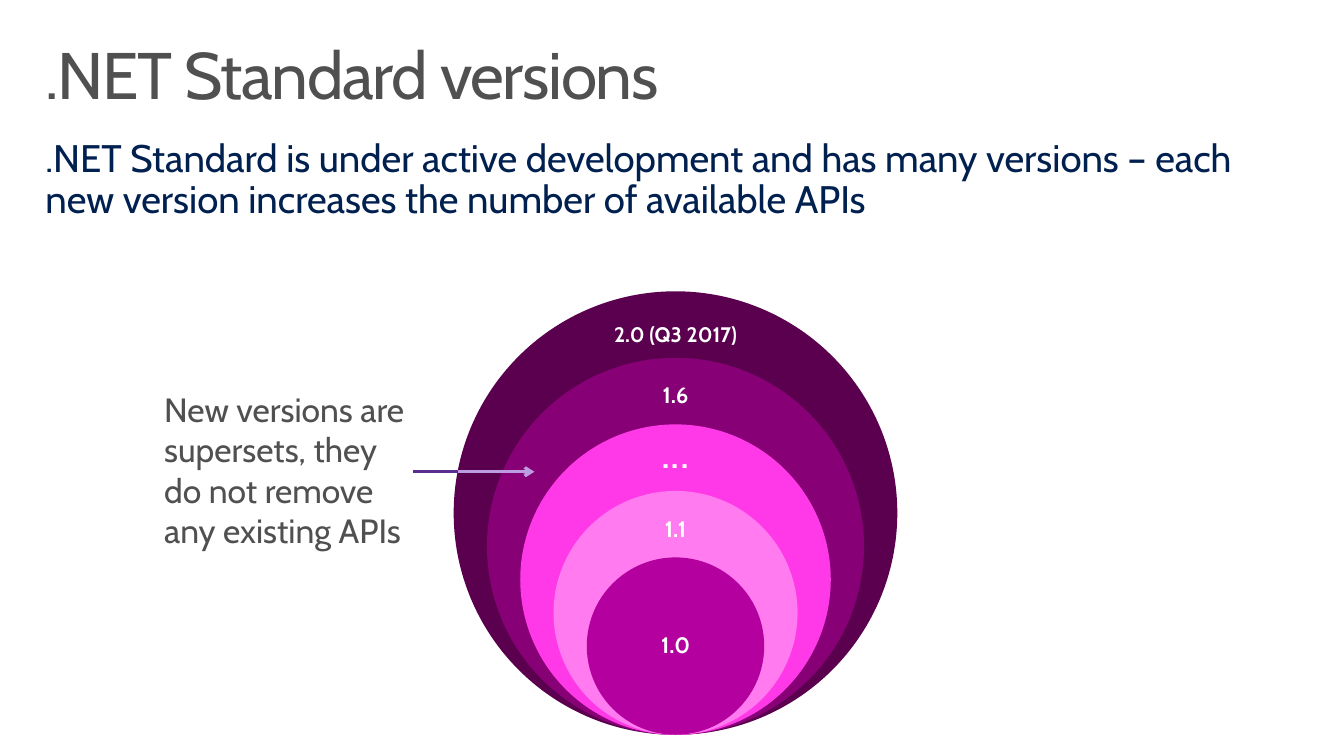
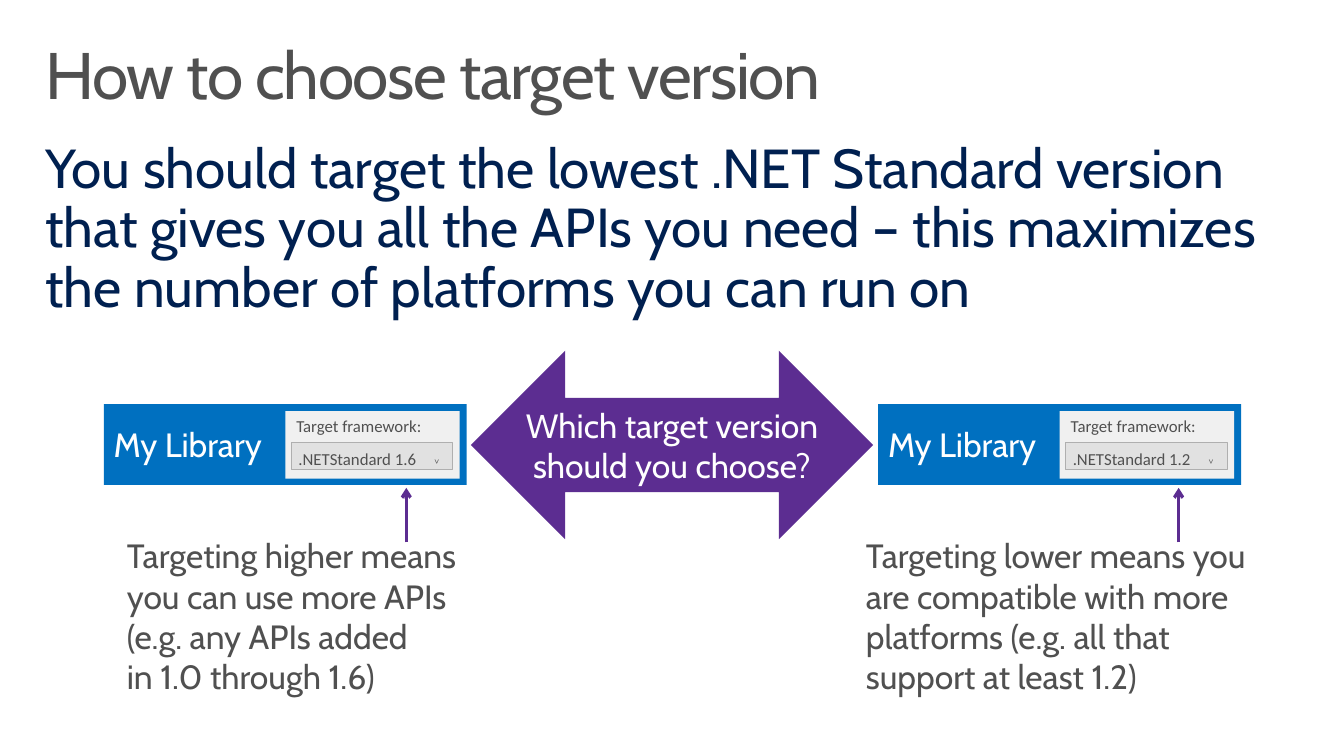
from dataclasses import dataclass

from lxml import etree
from pptx import Presentation
from pptx.dml.color import RGBColor
from pptx.enum.shapes import MSO_CONNECTOR, MSO_SHAPE
from pptx.enum.text import MSO_ANCHOR, PP_ALIGN
from pptx.oxml.ns import qn
from pptx.util import Inches, Pt

RECT, OVAL, ARROW = MSO_SHAPE.RECTANGLE, MSO_SHAPE.OVAL, MSO_SHAPE.LEFT_RIGHT_ARROW
STRAIGHT = MSO_CONNECTOR.STRAIGHT
TOP, MIDDLE = MSO_ANCHOR.TOP, MSO_ANCHOR.MIDDLE
LEFT, CENTER = PP_ALIGN.LEFT, PP_ALIGN.CENTER


@dataclass(frozen=True)
class Theme:
    font: str = "Cabin"
    form: str = "Calibri"
    mono: str = "DejaVu Sans Mono"
    white: str = "FFFFFF"
    gray: str = "505050"
    navy: str = "002050"
    blue: str = "0070C0"
    purple: str = "5C2D91"
    lilac: str = "BD9DE1"
    panel: str = "F0F0F0"
    field: str = "E1E1E1"
    edge: str = "AFAFAF"
    title: float = 47
    note: float = 24
    small: float = 12
    mark: float = 21.3
    rule: float = 2.25


T = Theme()
HEAD_PAD = (0.16, 0.1, 0.16, 0.1)
PAD = (0.1, 0.05, 0.1, 0.05)

VERSIONS = {
    "title": ".NET Standard versions",
    "body": ".NET Standard is under active development and has many versions"
            " – each new version increases the number of available APIs",
    "body_at": (0.29, 1.28, 12.49, 1.03),
    "body_size": 27.4,
}
RINGS = [
    ("2.0 (Q3 2017)", "5A004F", 15, True, 0),
    ("1.6", "870076", 16, True, 0.12),
    ("...", "FF39E7", 32, False, 0.3),
    ("1.1", "FF7BEF", 16, True, 0.1),
    ("1.0", "B4009E", 16, True, 0),
]
RING_MID, RING_END, RING_MAX, RING_STEP = 6.7, 7.29, 4.4, 0.66
LABEL_W, LABEL_H = 1.65, 0.44
SUPERSET = ["New versions are", "supersets, they", "do not remove", "any existing APIs"]
POINTER_Y = 4.68
POINTER = [(4.1, 4.54, T.purple, False), (4.54, 5.3, T.lilac, True)]

CHOICE = {
    "title": "How to choose target version",
    "body": "You should target the lowest .NET Standard version that gives you all"
            " the APIs you need – this maximizes the number of platforms you can run on",
    "body_at": (0.29, 1.3, 12.74, 1.98),
    "body_size": 39.2,
}
QUESTION = ["Which target version", "should you choose?"]
SIDES = [
    (1.03, ".NETStandard 1.6", 4.03, (1.16, 5.26, 3.69, 1.71),
     ["Targeting higher means", "you can use more APIs",
      "(e.g. any APIs added", "in 1.0 through 1.6)"]),
    (8.71, ".NETStandard 1.2", 11.69, (8.49, 5.26, 4.19, 1.71),
     ["Targeting lower means you", "are compatible with more",
      "platforms (e.g. all that", "support at least 1.2)"]),
]


def color(code):
    return RGBColor.from_string(code)


def add_run(para, text, size, ink, font=T.font, bold=False):
    run = para.add_run()
    run.text = text
    run.font.name = font
    run.font.size = Pt(size)
    run.font.bold = bold
    run.font.color.rgb = color(ink)
    return run


def set_frame(shape, pad=PAD, anchor=TOP):
    frame = shape.text_frame
    frame.word_wrap = True
    frame.vertical_anchor = anchor
    (frame.margin_left, frame.margin_top,
     frame.margin_right, frame.margin_bottom) = map(Inches, pad)
    return frame


def write(shape, lines, size, ink, pad=PAD, anchor=TOP, align=LEFT,
          space=1.0, font=T.font, bold=False):
    frame = set_frame(shape, pad, anchor)
    for i, line in enumerate(lines):
        para = frame.add_paragraph() if i else frame.paragraphs[0]
        para.alignment = align
        para.line_spacing = space
        add_run(para, line, size, ink, font, bold)
    return frame


def add_box(group, at):
    return group.shapes.add_textbox(*map(Inches, at))


def add_form(group, kind, at, fill, edge=None):
    shape = group.shapes.add_shape(kind, *map(Inches, at))
    shape.shadow.inherit = False
    shape.fill.solid()
    shape.fill.fore_color.rgb = color(fill)
    if edge:
        shape.line.color.rgb = color(edge)
        shape.line.width = Pt(0.5)
    else:
        shape.line.fill.background()
    return shape


def add_line(slide, start, end, ink, arrow=True):
    line = slide.shapes.add_connector(STRAIGHT, *map(Inches, start + end))
    line.line.color.rgb = color(ink)
    line.line.width = Pt(T.rule)
    if arrow:
        etree.SubElement(line.line._get_or_add_ln(), qn("a:tailEnd"), type="arrow")
    etree.SubElement(line._element.spPr, qn("a:effectLst"))


def add_slide(deck, data):
    slide = deck.slides.add_slide(deck.slide_layouts[6])
    head = write(add_box(slide, (0.29, 0.32, 12.75, 0.98)), [data["title"]],
                 T.title, T.gray, HEAD_PAD, space=0.9)
    head.paragraphs[0].runs[0].font._element.set("spc", "-100")
    write(add_box(slide, data["body_at"]), [data["body"]],
          data["body_size"], T.navy, HEAD_PAD, space=0.9)
    return slide


def add_rings(slide):
    group = slide.shapes.add_group_shape()
    for i, (label, fill, size, bold, foot) in enumerate(RINGS):
        width = RING_MAX - i * RING_STEP
        top = RING_END - width
        add_form(group, OVAL, (RING_MID - width / 2, top, width, width), fill)
        last = i == len(RINGS) - 1
        drop, tall = (width / 4, width / 2) if last else (LABEL_H / 2, LABEL_H)
        box = add_box(group, (RING_MID - LABEL_W / 2, top + drop, LABEL_W, tall))
        write(box, [label], size, T.white, (0, 0, 0, foot), MIDDLE, CENTER, 0.9, bold=bold)


def add_library(slide, left, target):
    group = slide.shapes.add_group_shape()
    card = add_form(group, RECT, (left, 4.01, 3.6, 0.8), T.blue)
    write(card, ["My Library"], T.note, T.white, anchor=MIDDLE)
    panel = add_form(group, RECT, (left + 1.8, 4.08, 1.73, 0.67), T.panel)
    write(panel, ["Target framework:"], T.small, T.gray,
          (0.11, 0.05, 0.07, 0.05), font=T.form)
    field = add_form(group, RECT, (left + 1.86, 4.39, 1.6, 0.27), T.field, T.edge)
    para = set_frame(field, (0.07, 0.05, 0.07, 0.05), MIDDLE).paragraphs[0]
    para.alignment = LEFT
    tabs = etree.SubElement(para._p.get_or_add_pPr(), qn("a:tabLst"))
    etree.SubElement(tabs, qn("a:tab"), pos=str(Inches(1.32)), algn="l")
    add_run(para, target + "\t", T.small, T.gray, T.form)
    mark = add_run(para, "˅", T.mark, T.gray, T.mono)
    mark.font._element.set("baseline", "-25000")


def main():
    deck = Presentation()
    deck.slide_width, deck.slide_height = Inches(13.33), Inches(7.5)

    slide = add_slide(deck, VERSIONS)
    add_rings(slide)
    write(add_box(slide, (1.53, 3.81, 2.72, 1.71)), SUPERSET, T.note, T.gray)
    for start, end, ink, arrow in POINTER:
        add_line(slide, (start, POINTER_Y), (end, POINTER_Y), ink, arrow)

    slide = add_slide(deck, CHOICE)
    arrow = add_form(slide, ARROW, (4.67, 3.48, 3.99, 1.87), T.purple)
    write(arrow, QUESTION, T.note, T.white, (0, 0.07, 0, 0.07), MIDDLE, CENTER)
    for left, target, mid, at, lines in SIDES:
        add_library(slide, left, target)
        write(add_box(slide, at), lines, T.note, T.gray)
        add_line(slide, (mid, 5.38), (mid, 4.84), T.purple)

    deck.save("out.pptx")


if __name__ == "__main__":
    main()
